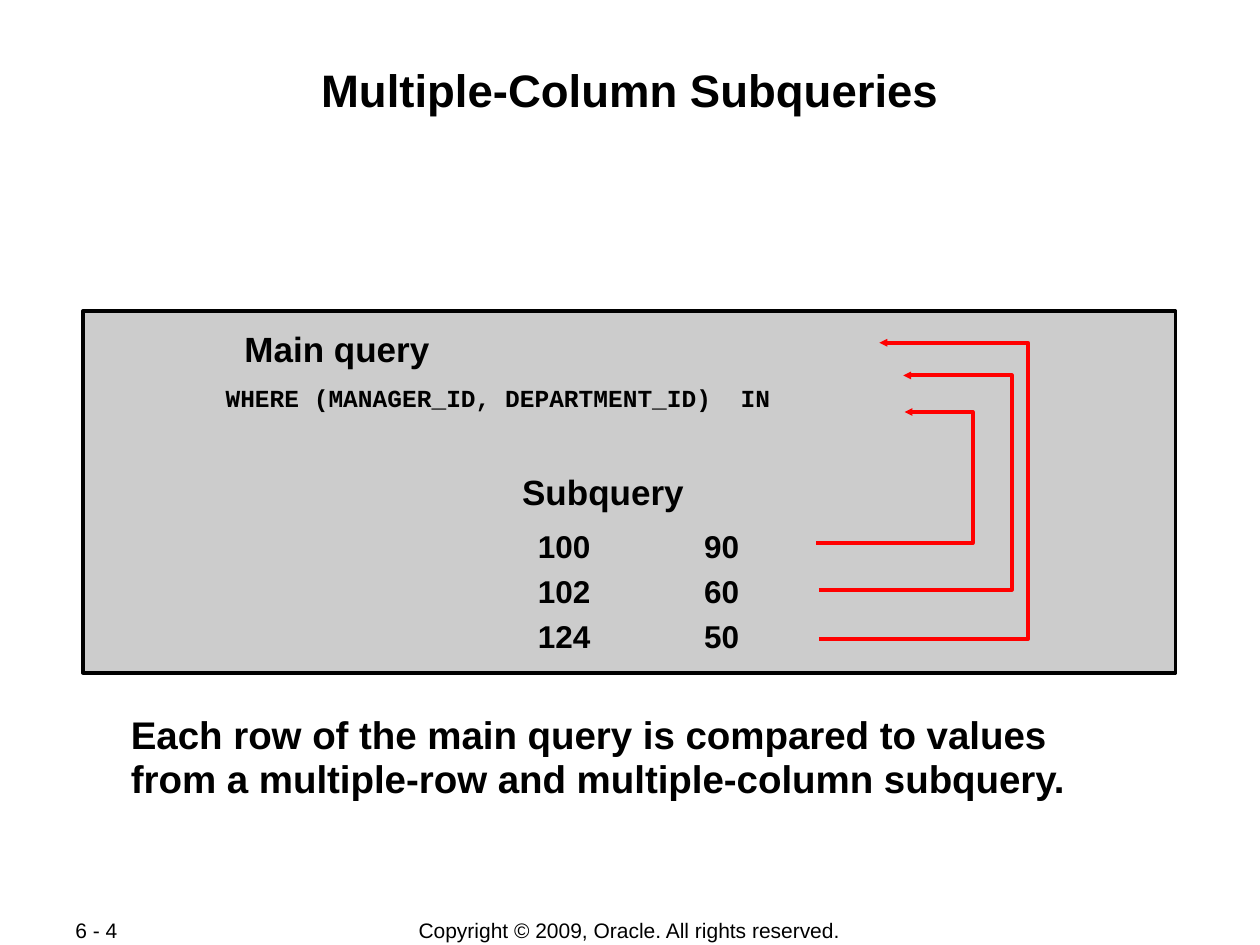
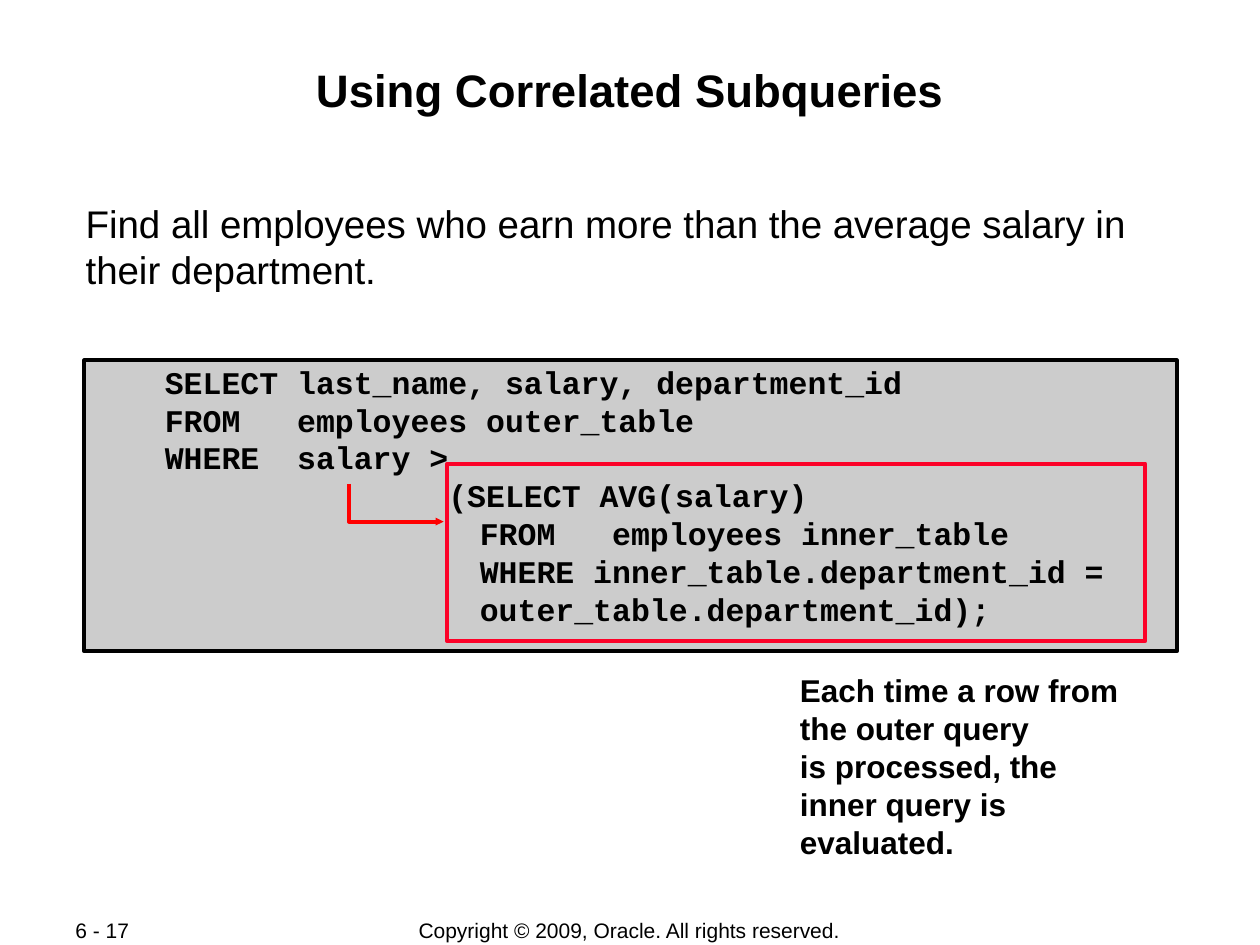
import dataclasses

import lxml.etree
import pptx
import pptx.dml.color
import pptx.enum.shapes
import pptx.enum.text
import pptx.oxml.ns
import pptx.util

Align = pptx.enum.text.PP_ALIGN
Anchor = pptx.enum.text.MSO_ANCHOR


@dataclasses.dataclass(frozen=True)
class Theme:
    ink: str = "000000"
    panel: str = "CCCCCC"
    arrow: str = "FF0000"
    highlight: str = "FC0128"
    sans: str = "Arial"
    mono: str = "Courier New"
    title: int = 26
    body: int = 22
    label: int = 20
    code: int = 18
    clause: int = 14
    footer: int = 12
    stroke: float = 2.25


THEME = Theme()

deck = pptx.Presentation()
deck.slide_width = pptx.util.Inches(10)
deck.slide_height = pptx.util.Inches(7.5)
CELL = deck.slide_width / 100  # the slide is a grid of 100 columns by 75 rows


def write(shape, paragraphs, size, font=THEME.sans, bold=True, align=Align.LEFT,
          spacing=None, anchor=Anchor.TOP, margins=(0.1, 0.05)):
    """Fill a shape with paragraphs; a newline inside one is a line break."""
    frame = shape.text_frame
    # centred labels sit on their midpoint, so they need no wrapping
    frame.word_wrap = align != Align.CENTER
    frame.vertical_anchor = anchor
    frame.margin_left = frame.margin_right = pptx.util.Inches(margins[0])
    frame.margin_top = frame.margin_bottom = pptx.util.Inches(margins[1])
    for index, text in enumerate(paragraphs):
        paragraph = frame.add_paragraph() if index else frame.paragraphs[0]
        paragraph.alignment = align
        if spacing:
            paragraph.line_spacing = spacing
        for line_index, line in enumerate(text.split("\n")):
            if line_index:
                paragraph.add_line_break()
            run = paragraph.add_run()
            run.text = line
            run.font.name = font
            run.font.size = pptx.util.Pt(size)
            run.font.bold = bold
            run.font.color.rgb = pptx.dml.color.RGBColor.from_string(THEME.ink)
    return frame.paragraphs


def box(slide, *cells):
    return slide.shapes.add_textbox(*(round(cell * CELL) for cell in cells))


# Title, panels and footer of both slides
PAGES = [
    ("Multiple-Column Subqueries", "6 - 4",
     [((6.6, 24.7, 86.7, 28.7), THEME.panel, THEME.ink)]),
    ("Using Correlated Subqueries", "6 - 17",
     [((6.7, 28.6, 86.7, 23.1), THEME.panel, THEME.ink),
      ((35.5, 36.8, 55.4, 14.1), None, THEME.highlight)]),
]
for title, page_number, panels in PAGES:
    slide = deck.slides.add_slide(deck.slide_layouts[5])
    heading = slide.shapes.title
    heading.left, heading.top, heading.width, heading.height = (
        round(cell * CELL) for cell in (6.7, 4.8, 86.6, 9.6))
    write(heading, [title], THEME.title, align=Align.CENTER, margins=(0.01, 0.01))
    heading.text_frame.word_wrap = True

    for cells, fill, line in panels:
        panel = slide.shapes.add_shape(
            pptx.enum.shapes.MSO_SHAPE.RECTANGLE, *(round(cell * CELL) for cell in cells))
        panel.shadow.inherit = False
        if fill:
            panel.fill.solid()
            panel.fill.fore_color.rgb = pptx.dml.color.RGBColor.from_string(fill)
        else:
            panel.fill.background()
        panel.line.color.rgb = pptx.dml.color.RGBColor.from_string(line)
        panel.line.width = pptx.util.Pt(THEME.stroke)

    write(box(slide, 27.5, 72.8, 44.9, 2.1),
          ["Copyright © 2009, Oracle. All rights reserved."],
          THEME.footer, bold=False, align=Align.CENTER, anchor=Anchor.MIDDLE)
    write(box(slide, 5, 72.8, 10.6, 2), [page_number],
          THEME.footer, bold=False, anchor=Anchor.MIDDLE)

columns_slide, correlated_slide = deck.slides

# Multiple-column comparison
for text, cells, size, font in [
    ("Main query", (18.4, 24.8, 16.7, 5), THEME.label, THEME.sans),
    ("WHERE (MANAGER_ID, DEPARTMENT_ID)  IN", (16.9, 29.4, 45.3, 3.8),
     THEME.clause, THEME.mono),
    ("Subquery", (40.4, 36.2, 14.9, 5), THEME.label, THEME.sans),
]:
    write(box(columns_slide, *cells), [text], size, font,
          align=Align.CENTER, spacing=1.2)

subquery_rows = [(100, 90), (102, 60), (124, 50)]
values = write(box(columns_slide, 41.7, 40.7, 25.1, 11.8),
               ["\n".join(f"{manager}\t{department}" for manager, department in subquery_rows)],
               THEME.code, spacing=1.2)[0]
tab_list = lxml.etree.SubElement(values._p.get_or_add_pPr(), pptx.oxml.ns.qn("a:tabLst"))
lxml.etree.SubElement(tab_list, pptx.oxml.ns.qn("a:tab"),
                      pos=str(pptx.util.Inches(1.32)), algn="l")

write(box(columns_slide, 9.4, 56.2, 80.8, 8),
      ["Each row of the main query is compared to values "
       "from a multiple-row and multiple-column subquery."],
      THEME.body, spacing=0.95)

# Correlated query
write(box(correlated_slide, 6.7, 15.8, 86.6, 7.6),
      ["Find all employees who earn more than the average salary in their department."],
      THEME.body, bold=False, margins=(0.01, 0.01))

query = write(box(correlated_slide, 12.1, 28.3, 83.1, 22), [
    "SELECT last_name, salary, department_id",
    "FROM   employees outer_table",
    "WHERE  salary >\n               (SELECT AVG(salary)",
    "          FROM   employees inner_table",
    "          WHERE inner_table.department_id =",
    "          outer_table.department_id);",
], THEME.code, THEME.mono)
for inner_line in query[3:]:
    inner_line._p.get_or_add_pPr().set("marL", str(pptx.util.Inches(1)))

write(box(correlated_slide, 62.5, 52.8, 28, 16), [
    "Each time a row from\nthe outer query",
    "is processed, the",
    "inner query is",
    "evaluated.",
], THEME.code)

# Arrows bend at right angles and point at their last corner
for slide, corners in [
    (columns_slide, [(64.8, 43.1), (77.2, 43.1), (77.2, 32.7), (71.8, 32.7)]),
    (columns_slide, [(65, 46.8), (80.3, 46.8), (80.3, 29.8), (71.7, 29.8)]),
    (columns_slide, [(65, 50.7), (81.6, 50.7), (81.6, 27.2), (69.8, 27.2)]),
    (correlated_slide, [(27.7, 38.4), (27.7, 41.4), (35.2, 41.4)]),
]:
    start, *bends = [(round(x * CELL), round(y * CELL)) for x, y in corners]
    outline = slide.shapes.build_freeform(*start)
    outline.add_line_segments(bends, close=False)
    arrow = outline.convert_to_shape()
    arrow.shadow.inherit = False
    arrow.fill.background()
    arrow.line.color.rgb = pptx.dml.color.RGBColor.from_string(THEME.arrow)
    arrow.line.width = pptx.util.Pt(THEME.stroke)
    stroke = arrow.line._get_or_add_ln()
    lxml.etree.SubElement(stroke, pptx.oxml.ns.qn("a:round"))
    lxml.etree.SubElement(stroke, pptx.oxml.ns.qn("a:tailEnd"),
                          type="triangle", w="sm", len="sm")

deck.save("out.pptx")
